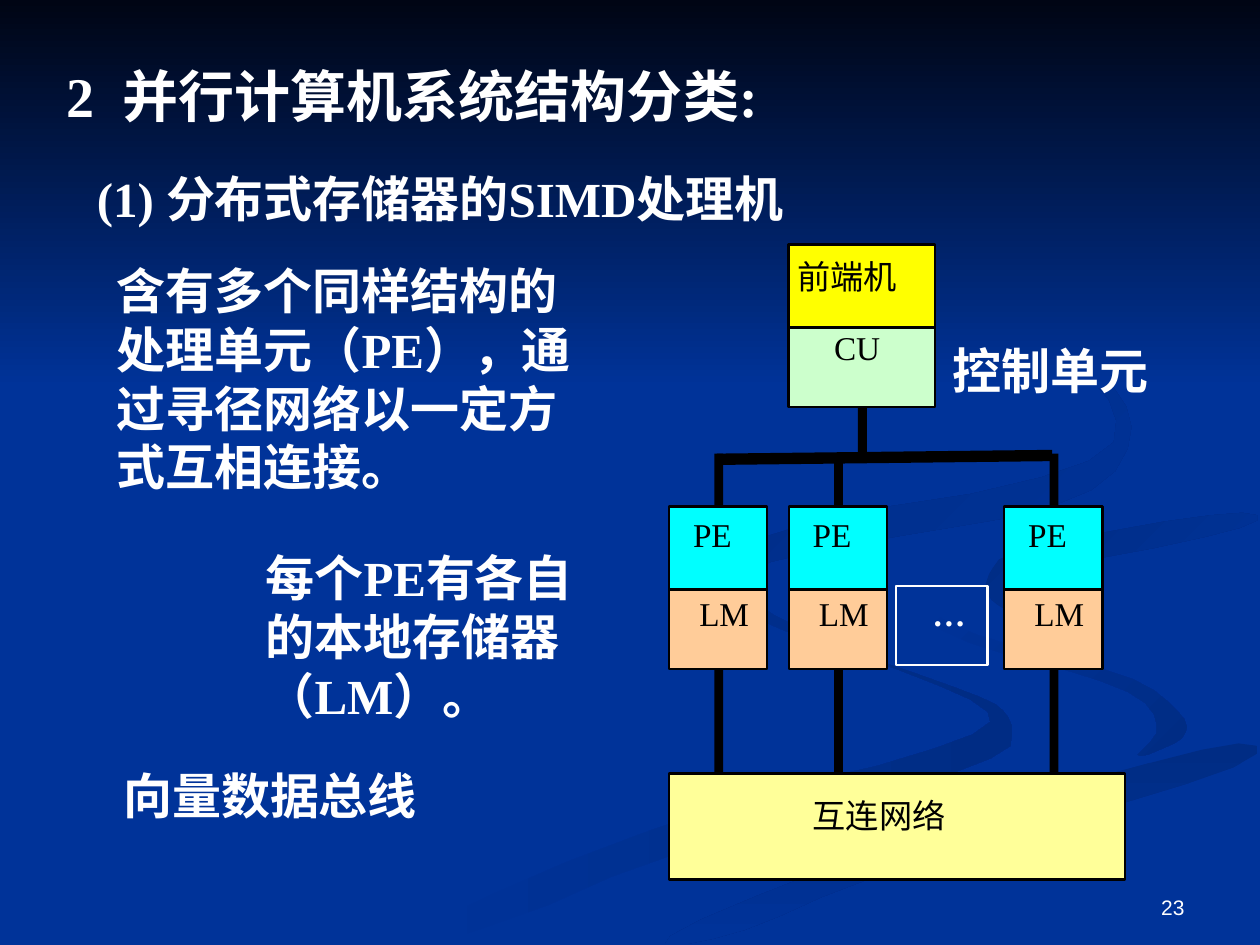
from pptx import Presentation
from pptx.dml.color import RGBColor
from pptx.enum.shapes import MSO_SHAPE
from pptx.enum.text import MSO_ANCHOR, MSO_AUTO_SIZE, PP_ALIGN
from pptx.oxml.ns import qn
from pptx.util import Inches, Pt
from lxml import etree

RECT = MSO_SHAPE.RECTANGLE
TOP, BOTTOM = MSO_ANCHOR.TOP, MSO_ANCHOR.BOTTOM
LEFT, RIGHT = PP_ALIGN.LEFT, PP_ALIGN.RIGHT
FIXED = MSO_AUTO_SIZE.NONE

THEME = {
    "blue": "003399", "dusk": "002C84", "night": "000514",
    "white": "FFFFFF", "black": "000000",
    "front": "FFFF00", "cu": "CCFFCC", "pe": "00FFFF", "lm": "FFCC99",
    "net": "FFFF99",
    "serif": "Times New Roman", "sans": "Arial", "han": "Noto Sans CJK SC",
    "title": 32, "body": 28, "label": 19, "page": 12,
    "border": 1.39, "lead": 1.2,
}


def write(shape, text, size, color="white", font="serif", bold=False,
          pad=(0.1, 0.05), wrap=True, anchor=TOP, align=LEFT):
    """Fill the text frame of a shape with one formatted paragraph."""
    side, edge = (Inches(n) for n in pad)
    frame = shape.text_frame
    look = {"margin_left": side, "margin_right": side, "margin_top": edge,
            "margin_bottom": edge, "auto_size": FIXED, "word_wrap": wrap,
            "vertical_anchor": anchor}
    for key, value in look.items():
        setattr(frame, key, value)
    para = frame.paragraphs[0]
    para.alignment = align
    para.line_spacing = Pt(round(THEME[size] * THEME["lead"], 1))
    run = para.add_run()
    run.text = text
    style = {"name": THEME[font], "size": Pt(THEME[size]), "bold": bold}
    for key, value in style.items():
        setattr(run.font, key, value)
    run.font.color.rgb = RGBColor.from_string(THEME[color])
    asian = etree.SubElement(run.font._element, qn("a:ea"))
    asian.set("typeface", THEME["han"])


def block(x, y, w, h, fill=None, line=None):
    """Add a rectangle with an optional fill and border."""
    shape = slide.shapes.add_shape(RECT, *map(Inches, (x, y, w, h)))
    shape.shadow.inherit = False
    if fill:
        shape.fill.solid()
        shape.fill.fore_color.rgb = RGBColor.from_string(THEME[fill])
    else:
        shape.fill.background()
    if line:
        shape.line.color.rgb = RGBColor.from_string(THEME[line])
        shape.line.width = Pt(THEME["border"])
    else:
        shape.line.fill.background()
    return shape


deck = Presentation()
deck.slide_width, deck.slide_height = Inches(10), Inches(7.5)
slide = deck.slides.add_slide(deck.slide_layouts[5])
slide.background.fill.solid()
slide.background.fill.fore_color.rgb = RGBColor.from_string(THEME["blue"])

# Background swirls: colours, clockwise angle, and outline corners
# in hundredths of an inch, rounded off by cutting each corner twice
swirls = [
    ("blue", "dusk", 0, [
        (781, 553), (640, 505), (570, 459), (590, 492), (780, 553),
        (790, 585), (540, 645), (300, 749), (361, 749), (560, 665),
        (800, 605), (805, 570)]),
    ("blue", "dusk", 45, [
        (943, 570), (900, 535), (750, 500), (724, 464), (740, 505),
        (900, 545), (925, 580), (894, 605), (940, 588)]),
    ("dusk", "blue", 90, [
        (503, 749), (571, 749), (700, 690), (998, 609), (998, 581),
        (765, 647)]),
    ("dusk", "blue", 45, [
        (781, 460), (785, 478), (826, 496), (780, 460), (998, 420),
        (998, 402), (800, 435)]),
    ("dusk", "blue", 45, [
        (683, 430), (870, 400), (910, 330), (840, 270), (762, 233),
        (890, 310), (880, 375), (590, 420), (570, 470), (622, 500),
        (570, 455)]),
]
tints = []
for first, last, angle, points in swirls:
    for _ in range(2):
        points = [(a * t + c * (1 - t), b * t + d * (1 - t))
                  for (a, b), (c, d) in zip(points, points[1:] + points[:1])
                  for t in (0.75, 0.25)]
    pen = slide.shapes.build_freeform(*points[0], scale=Inches(0.01))
    pen.add_line_segments(points[1:], close=True)
    tints.append((pen.convert_to_shape(), first, last, angle))
tints.append((block(0, 0, 10, 3.08), "night", "blue", 90))
for shape, first, last, angle in tints:
    shape.shadow.inherit = False
    shape.line.fill.background()
    shape.fill.gradient()
    shape.fill.gradient_angle = -angle % 360
    for stop, name in zip(shape.fill.gradient_stops, (first, last)):
        stop.color.rgb = RGBColor.from_string(THEME[name])

# Title, kept in front of the background
title = slide.shapes.title
spot = {"left": 0.43, "top": 0.44, "width": 6.18, "height": 0.64}
for key, value in spot.items():
    setattr(title, key, Inches(value))
title.element.getparent().append(title.element)
write(title, "2  并行计算机系统结构分类:", "title", bold=True)

# Body text
notes = [
    (0.67, 1.29, 7.56, 0.57, "(1) 分布式存储器的SIMD处理机"),
    (0.83, 2.02, 4.02, 1.97, "含有多个同样结构的处理单元（PE），通过寻径网络以一定方式互相连接。"),
    (2.01, 4.3, 2.91, 1.5, "每个PE有各自的本地存储器（LM）。"),
    (0.88, 6.03, 3.33, 0.57, "向量数据总线"),
    (7.46, 2.65, 1.79, 0.57, "控制单元"),
]
for *area, text in notes:
    box = slide.shapes.add_textbox(*map(Inches, area))
    write(box, text, "body", bold=True)

# Buses between the control unit, the processors and the network
columns = (5.31, 6.26, 7.97)
bar = 0.07
for x in columns:
    for y, h in ((3.6, 0.45), (5.29, 0.87)):
        block(x + 0.36, y, bar, h, "black")
pen = slide.shapes.build_freeform(835, 366, scale=Inches(0.01))
pen.add_line_segments([(835, 357), (569, 360), (569, 369)], close=True)
bus = pen.convert_to_shape()
bus.shadow.inherit = False
bus.fill.solid()
bus.fill.fore_color.rgb = RGBColor.from_string(THEME["black"])
bus.line.fill.background()
block(6.81, 3.21, bar, 0.42, "black")

# Units of the diagram, lower ones first so that upper ones overlap them
block(7.11, 4.65, 0.73, 0.63, line="white")
units = [
    (5.31, 6.14, 3.62, 0.84, "net"),
    (6.26, 2.57, 1.16, 0.66, "cu"),
    (6.26, 1.94, 1.16, 0.66, "front"),
]
labels = [
    (6.45, 6.31, 1.05, "互连网络", "han", "black"),
    (6.62, 2.6, 0.37, "CU", "serif", "black"),
    (6.33, 2.03, 0.79, "前端机", "han", "black"),
    (7.4, 4.71, 0.26, "…", "serif", "white"),
]
for x in columns:
    units += [(x, 4.65, 0.78, 0.66, "lm"), (x, 4.02, 0.78, 0.66, "pe")]
    labels += [(x + 0.24, 4.71, 0.4, "LM", "serif", "black"),
               (x + 0.19, 4.08, 0.31, "PE", "serif", "black")]
for *area, fill in units:
    block(*area, fill, "black")
for x, y, w, text, font, color in labels:
    box = slide.shapes.add_textbox(*map(Inches, (x, y, w, 0.32)))
    write(box, text, "label", color, font, bold=color == "white",
          pad=(0, 0), wrap=False)

page = slide.shapes.add_textbox(*map(Inches, (7.17, 6.83, 2.33, 0.52)))
write(page, "23", "page", font="sans", anchor=BOTTOM, align=RIGHT)

deck.save("out.pptx")
